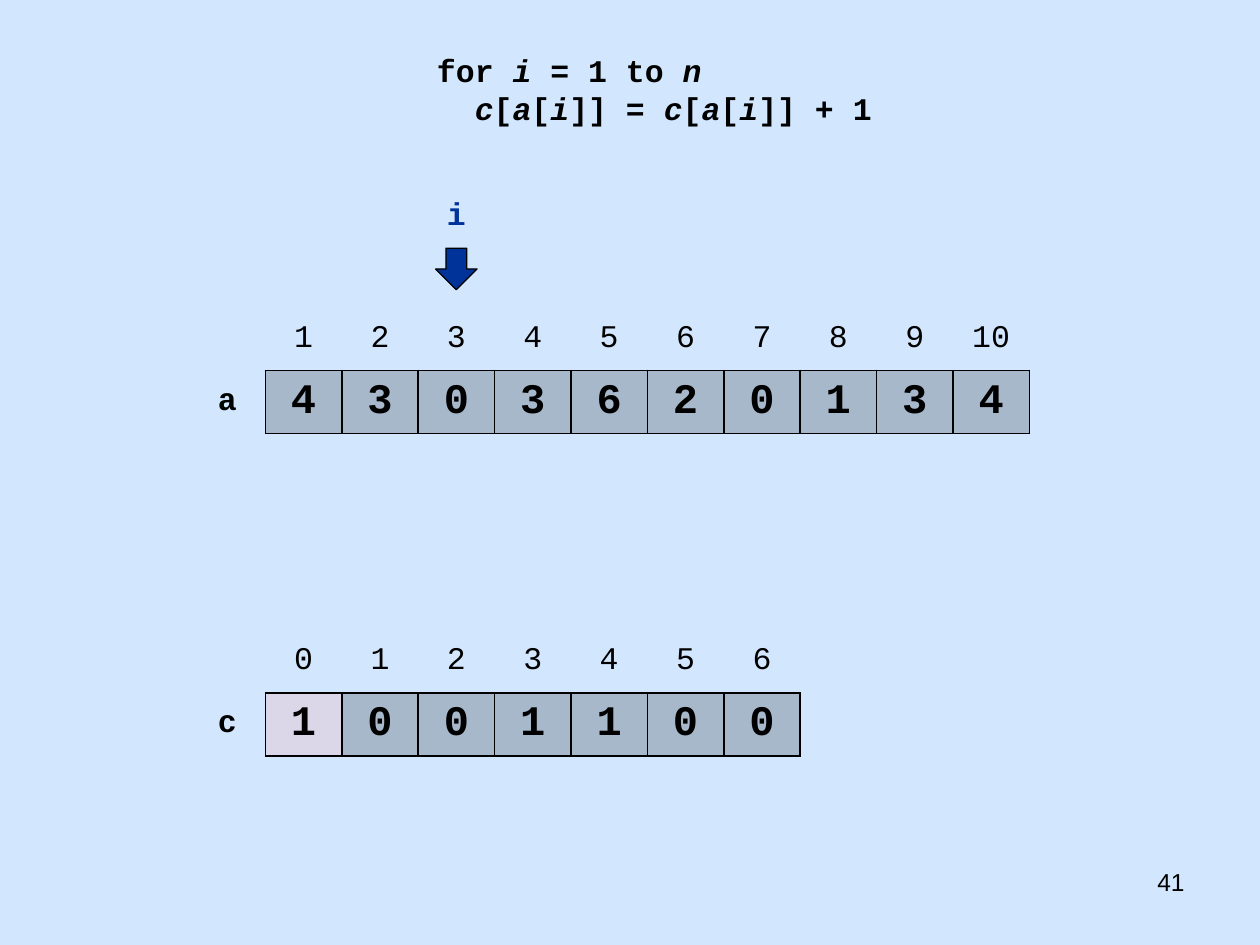
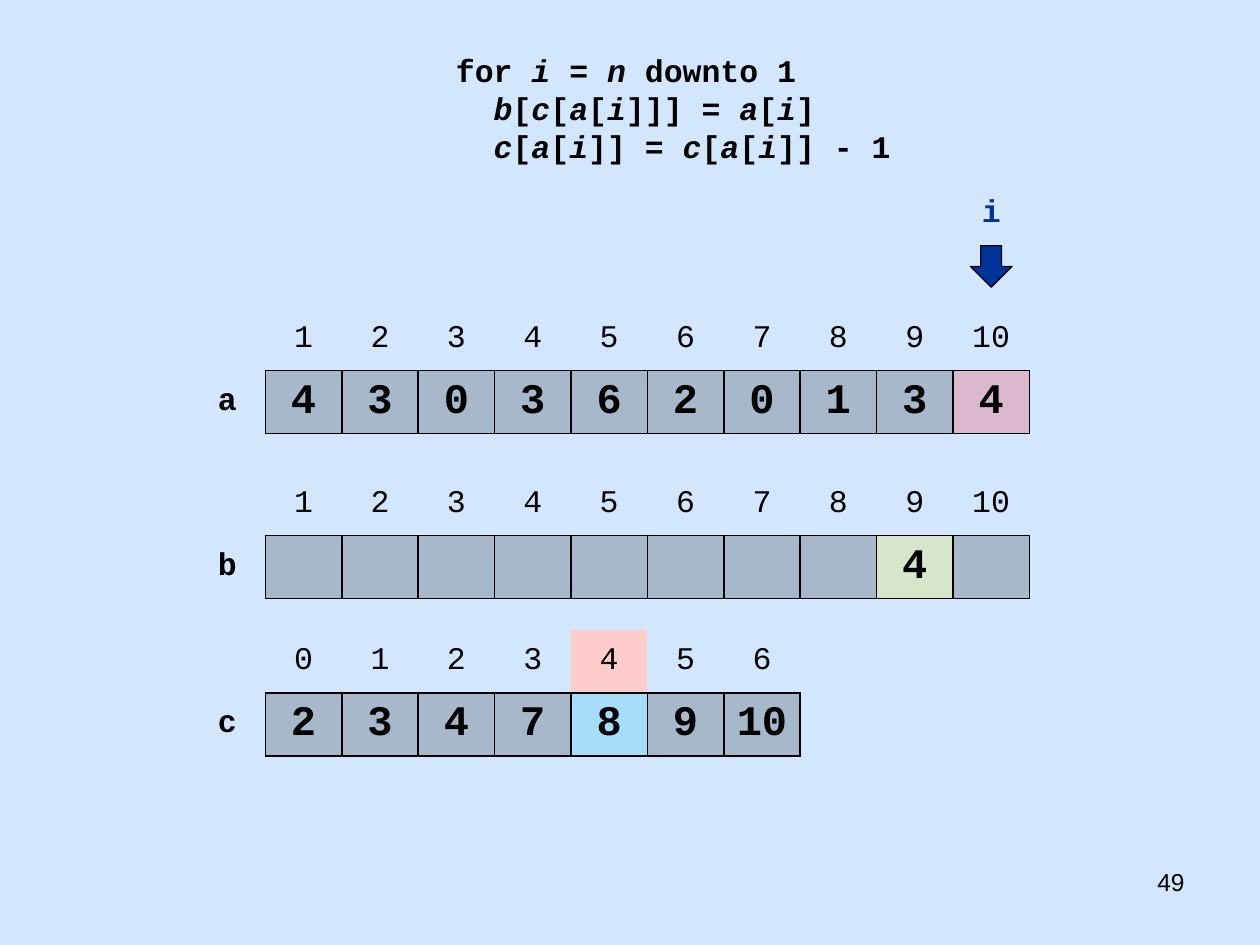
from pptx import Presentation
from pptx.dml.color import RGBColor
from pptx.enum.shapes import MSO_SHAPE
from pptx.enum.text import MSO_ANCHOR, PP_ALIGN
from pptx.oxml import parse_xml
from pptx.oxml.ns import nsdecls, qn
from pptx.util import Inches, Pt

COLORS = {
    "background": "D2E7FE",
    "text": "000000",
    "marker": "003399",
    "outline": "010000",
    "cell": "000000",
    "counted": "FF9999",
    "current": "FF0000",
    "placed": "E5E500",
    "position": "00B0F0",
    "index": "FFCCCC",
}
CODE_FONT = "Courier New"
NUMBER_FONT = "Arial"
NO_STYLE = "{2D5ABB26-0587-4C30-8999-92F81FD0307C}"
LEFT = 1.5
COLUMN = 6.67 / 11
ROW = 0.5
A_VALUES = [4, 3, 0, 3, 6, 2, 0, 1, 3, 4]
A_TOP, B_TOP, C_TOP = 2.44, 3.75, 5


class ArraySlides:
    """Draws array diagrams in one style on the current slide."""

    def __init__(self):
        self.deck = Presentation()
        self.deck.slide_width = Inches(10)
        self.deck.slide_height = Inches(7.5)
        self.page = None

    def color(self, name):
        return RGBColor.from_string(COLORS[name])

    def add_page(self, number):
        self.page = self.deck.slides.add_slide(self.deck.slide_layouts[6])
        fill = self.page.background.fill
        fill.solid()
        fill.fore_color.rgb = self.color("background")
        para = self.add_box(7.17, 6.83, 2.33, 0.52).paragraphs[0]
        para.text = str(number)
        para.alignment = PP_ALIGN.RIGHT
        self.style(para, 14, font=NUMBER_FONT)

    def add_box(self, left, top, width, height):
        box = self.page.shapes.add_textbox(
            Inches(left), Inches(top), Inches(width), Inches(height)
        )
        box.text_frame.word_wrap = True
        return box.text_frame

    def style(self, para, size, bold=False, color="text", font=CODE_FONT):
        para.font.name = font
        para.font.size = Pt(size)
        para.font.bold = bold
        para.font.color.rgb = self.color(color)

    def add_code(self, lines):
        """Write code lines, with variables between bars in italics."""
        frame = self.add_box(3.37, 0.36, 4, 0.1 + 0.3 * len(lines))
        for number, line in enumerate(lines):
            para = frame.add_paragraph() if number else frame.paragraphs[0]
            para.line_spacing = Pt(21.6)
            self.style(para, 18, bold=True)
            for part, text in enumerate(line.split("|")):
                if text:
                    span = para.add_run()
                    span.text = text
                    span.font.italic = part % 2 == 1

    def add_marker(self, index, top):
        center = LEFT + COLUMN * (index + 0.5)
        para = self.add_box(center - 1.04, top, 2.08, 0.4).paragraphs[0]
        para.text = "i"
        para.alignment = PP_ALIGN.CENTER
        para.line_spacing = Pt(21.6)
        self.style(para, 18, bold=True, color="marker")
        arrow = self.page.shapes.add_shape(
            MSO_SHAPE.DOWN_ARROW,
            Inches(center - 0.165), Inches(top + 0.48), Inches(0.33), Inches(0.33),
        )
        arrow.shadow.inherit = False
        arrow.fill.solid()
        arrow.fill.fore_color.rgb = self.color("marker")
        arrow.line.color.rgb = self.color("outline")
        arrow.line.width = Pt(0.75)

    def add_array(self, name, top, values, first=1, cells=None, indexes=None):
        """Draw an array, with highlight colours keyed by array index."""
        cells, indexes = cells or {}, indexes or {}
        count = len(values) + 1
        frame = self.page.shapes.add_table(
            2, count, Inches(LEFT), Inches(top),
            Inches(COLUMN * count), Inches(ROW * 2),
        )
        table = frame.table
        table.first_row = table.horz_banding = False
        table._tbl.tblPr.find(qn("a:tableStyleId")).text = NO_STYLE
        for column in table.columns:
            column.width = Inches(COLUMN)
        for row in table.rows:
            row.height = Inches(ROW)
        self.fill_cell(table.cell(0, 0), "", 18)
        self.fill_cell(table.cell(1, 0), name, 18, bold=True, sides="R")
        for column, value in enumerate(values, 1):
            index = first + column - 1
            self.fill_cell(table.cell(0, column), index, 18, fill=indexes.get(index))
            self.fill_cell(
                table.cell(1, column), value, 24, bold=True, sides="LRTB",
                fill=cells.get(index, "cell"), alpha=20,
            )

    def fill_cell(self, cell, text, size, bold=False, sides="", fill=None, alpha=100):
        cell.vertical_anchor = MSO_ANCHOR.MIDDLE
        para = cell.text_frame.paragraphs[0]
        para.text = str(text)
        para.alignment = PP_ALIGN.CENTER
        self.style(para, size, bold)
        properties = cell._tc.get_or_add_tcPr()
        for side in sides:
            properties.append(parse_xml(
                f'<a:ln{side} {nsdecls("a")} w="{Pt(1)}"><a:solidFill>'
                f'<a:srgbClr val="{COLORS["text"]}"/></a:solidFill></a:ln{side}>'
            ))
        if fill is None:
            cell.fill.background()
            return
        cell.fill.solid()
        cell.fill.fore_color.rgb = self.color(fill)
        if alpha < 100:
            shade = properties.find(qn("a:solidFill")).find(qn("a:srgbClr"))
            shade.append(parse_xml(f'<a:alpha {nsdecls("a")} val="{alpha * 1000}"/>'))


def main():
    slides = ArraySlides()

    slides.add_page(41)
    slides.add_array("a", A_TOP, A_VALUES)
    slides.add_array("c", C_TOP, [1, 0, 0, 1, 1, 0, 0], first=0, cells={0: "counted"})
    slides.add_marker(3, 1.49)
    slides.add_code([
        "for |i| = 1 to |n|",
        "  |c|[|a|[|i|]] = |c|[|a|[|i|]] + 1",
    ])

    slides.add_page(49)
    slides.add_array("a", A_TOP, A_VALUES, cells={10: "current"})
    slides.add_array(
        "c", C_TOP, [2, 3, 4, 7, 8, 9, 10], first=0,
        cells={4: "position"}, indexes={4: "index"},
    )
    slides.add_code([
        " for |i| = |n| downto 1",
        "   |b|[|c|[|a|[|i|]]] = |a|[|i|]",
        "   |c|[|a|[|i|]] = |c|[|a|[|i|]] - 1",
    ])
    slides.add_array("b", B_TOP, [""] * 8 + [4, ""], cells={9: "placed"})
    slides.add_marker(10, 1.47)

    slides.deck.save("out.pptx")


if __name__ == "__main__":
    main()
